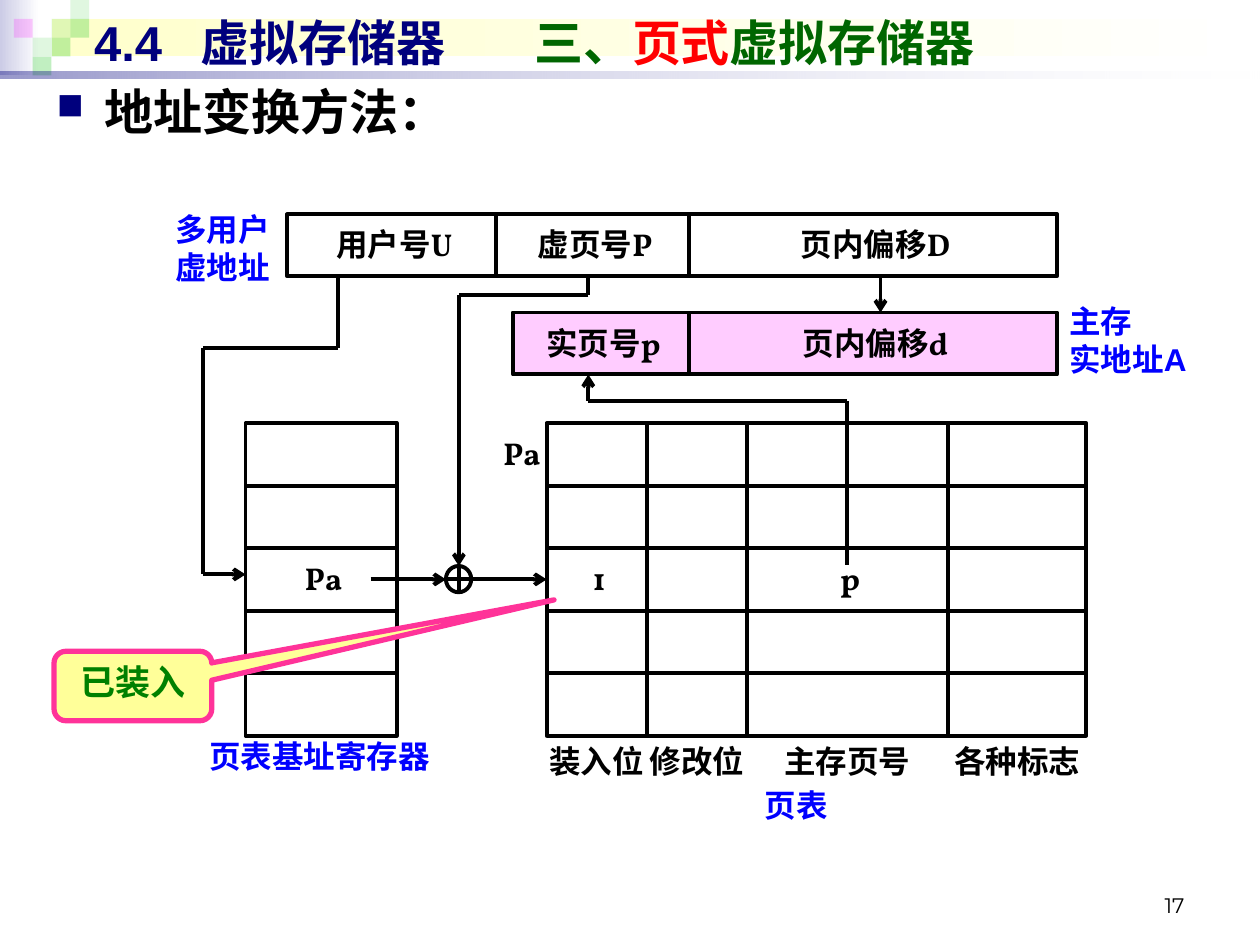
"""Builds the slide on address translation in paged virtual memory."""
from dataclasses import dataclass
from itertools import pairwise

from lxml import etree
from pptx import Presentation
from pptx.dml.color import RGBColor
from pptx.enum.shapes import MSO_CONNECTOR, MSO_SHAPE
from pptx.enum.text import MSO_ANCHOR, PP_ALIGN
from pptx.oxml.ns import qn
from pptx.util import Cm, Pt

RECT, ADDER = MSO_SHAPE.RECTANGLE, MSO_SHAPE.FLOWCHART_OR
CALLOUT = MSO_SHAPE.ROUNDED_RECTANGULAR_CALLOUT
STRAIGHT = MSO_CONNECTOR.STRAIGHT
TOP, MIDDLE, BOTTOM = MSO_ANCHOR.TOP, MSO_ANCHOR.MIDDLE, MSO_ANCHOR.BOTTOM
LEFT, CENTER, RIGHT = PP_ALIGN.LEFT, PP_ALIGN.CENTER, PP_ALIGN.RIGHT

ROW = 1.26
FIELD_HEIGHT = 1.25
TABLE_TOP = 8.53
LABEL_TOP = 14.73
ROWS = 5
ENTRY_ROW = 2
MOSAIC = 0.38
CELL_MARGINS = (0.2, 0.1)
CAPTION_MARGINS = (0, 0)
CAPTION_BLEED = 0.2


@dataclass(frozen=True)
class Theme:
    """Colours, fonts and sizes of the slide."""
    ink: str = "000000"
    navy: str = "00007D"
    green: str = "006600"
    red: str = "FF0000"
    blue: str = "0000FF"
    pink: str = "FFCCFF"
    note_fill: str = "FFFF99"
    note_line: str = "FF3399"
    note_text: str = "008000"
    lilac: str = "CCCCE6"
    cream: str = "FFFFCC"
    white: str = "FFFFFF"
    leaf: str = "33CC33"
    magenta: str = "FF00FF"
    sans: str = "Arial"
    serif: str = "Times New Roman"
    diagram: str = "Vollkorn"
    number: str = "Montserrat"
    heading_size: int = 28
    note_size: int = 20
    label_size: int = 18
    number_size: int = 12
    line: float = 2.25
    note_width: float = 3


THEME = Theme()


def rgb(colour):
    """Turn a hex string into a colour."""
    return RGBColor.from_string(colour)


def add_child(parent, tag, **attributes):
    """Append a drawing element with its attributes."""
    return etree.SubElement(parent, qn(tag), attributes)


def write(shape, paragraphs, font, size, align=LEFT, anchor=TOP, bold=True):
    """Fill a shape with paragraphs, each a list of (text, colour) runs."""
    frame = shape.text_frame
    frame.vertical_anchor = anchor
    for index, runs in enumerate(paragraphs):
        paragraph = frame.add_paragraph() if index else frame.paragraphs[0]
        paragraph.alignment = align
        for text, colour in runs:
            run = paragraph.add_run()
            run.text = text
            run.font.name, run.font.size, run.font.bold = font, Pt(size), bold
            run.font.color.rgb = rgb(colour)
    return frame


def compact(shape, text, colour=THEME.ink, font=THEME.diagram, align=CENTER,
            margins=CELL_MARGINS):
    """Write one tight, unwrapped diagram line."""
    frame = write(shape, [[(text, colour)]], font, THEME.label_size, align, MIDDLE)
    frame.word_wrap = False
    frame.margin_left, frame.margin_right = map(Cm, margins)
    frame.margin_top, frame.margin_bottom = Cm(0.1), Cm(0)
    frame.paragraphs[0].line_spacing = 0.8


def text_box(slide, left, top, width, height):
    """Add an empty wrapping text box."""
    box = slide.shapes.add_textbox(Cm(left), Cm(top), Cm(width), Cm(height))
    box.text_frame.word_wrap = True
    return box


def outline(slide, kind, place, fill=None, line=THEME.ink, weight=THEME.line):
    """Add an outlined preset shape."""
    shape = slide.shapes.add_shape(kind, *map(Cm, place))
    shape.shadow.inherit = False
    if fill:
        shape.fill.solid()
        shape.fill.fore_color.rgb = rgb(fill)
    else:
        shape.fill.background()
    shape.line.color.rgb = rgb(line)
    shape.line.width = Pt(weight)
    return shape


def decoration(slide, place, colours, alphas):
    """Add a borderless block, solid or fading to the right."""
    block = slide.shapes.add_shape(RECT, *map(Cm, place))
    block.shadow.inherit = False
    block.line.fill.background()
    if len(colours) == 1:
        block.fill.solid()
        block.fill.fore_color.rgb = rgb(colours[0])
    else:
        block.fill.gradient()
        block.fill.gradient_angle = 0
        for stop, colour in zip(block.fill.gradient_stops, colours):
            stop.color.rgb = rgb(colour)
    tints = list(block.element.spPr.iter(qn("a:srgbClr")))
    for tint, alpha in zip(tints, alphas):
        add_child(tint, "a:alpha", val=str(alpha * 1000))


def field_row(slide, left, top, fields, fill=None, height=FIELD_HEIGHT):
    """Add adjoining cells given as (text, width)."""
    for text, width in fields:
        cell = outline(slide, RECT, (left, top, width, height), fill)
        if text:
            compact(cell, text)
        left += width


def memory_grid(slide, left, widths, entry):
    """Add a grid of memory cells with one filled row."""
    for row in range(ROWS):
        texts = entry if row == ENTRY_ROW else [""] * len(widths)
        field_row(slide, left, TABLE_TOP + row * ROW, zip(texts, widths), height=ROW)


def route(slide, *points):
    """Join points by straight lines, ending in an arrowhead."""
    for start, end in pairwise(points):
        wire = slide.shapes.add_connector(STRAIGHT, *map(Cm, start + end))
        wire.line.color.rgb = rgb(THEME.ink)
        wire.line.width = Pt(THEME.line)
        if end == points[-1]:
            add_child(wire.line._get_or_add_ln(), "a:tailEnd", type="arrow")
        add_child(wire.element.spPr, "a:effectLst")


def backdrop(slide):
    """Draw the fading bars and the mosaic behind the title."""
    decoration(slide, (0, 0, 0.79, 1.52), (THEME.lilac, THEME.white), ())
    decoration(slide, (1.04, 0.38, 24.26, 0.76), (THEME.cream, THEME.white), ())
    tiles = [(2, 1, 15), (3, 0, 15), (3, 1, 30), (1, 2, 15), (0, 1, 20), (2, 2, 30), (1, 3, 30)]
    for column, row, alpha in tiles:
        colour = THEME.leaf if column else THEME.magenta
        place = (0.28 + column * MOSAIC, row * MOSAIC, MOSAIC, MOSAIC)
        decoration(slide, place, (colour,), (alpha,))
    decoration(slide, (0, 1.45, 25.4, 0.13), (THEME.navy, THEME.white), (40, 10))


def headings(slide):
    """Write the title, the bulleted topic and the page number."""
    title = write(text_box(slide, 1.65, 0.13, 22.86, 1.45),
                  [[("4.4\t虚拟存储器\t", THEME.navy), ("三、", THEME.green),
                    ("页式", THEME.red), ("虚拟存储器", THEME.green)]],
                  THEME.sans, THEME.heading_size, anchor=MIDDLE)
    tabs = add_child(title.paragraphs[0]._p.get_or_add_pPr(), "a:tabLst")
    for position in (2.14, 8.87):
        add_child(tabs, "a:tab", pos=str(Cm(position)), algn="l")

    topic = write(text_box(slide, 0.89, 1.52, 24, 1.6), [[("地址变换方法：", THEME.ink)]],
                  THEME.serif, THEME.heading_size).paragraphs[0]
    topic.space_before = Pt(5.6)
    bullet = topic._p.get_or_add_pPr()
    bullet.set("marL", str(Cm(0.97)))
    bullet.set("indent", str(-Cm(0.97)))
    add_child(add_child(bullet, "a:buClr"), "a:srgbClr", val=THEME.navy)
    add_child(bullet, "a:buSzPct", val="75000")
    add_child(bullet, "a:buChar", char="■")

    write(text_box(slide, 18.21, 17.35, 5.92, 1.27), [[("17", THEME.ink)]],
          THEME.number, THEME.number_size, RIGHT, BOTTOM, False)


def captions(slide, left, columns):
    """Name the columns, the tables and the two addresses."""
    for caption, width in zip(["装入位", "修改位", "主存页号", "各种标志"], columns):
        box = text_box(slide, left - CAPTION_BLEED, LABEL_TOP,
                       width + 2 * CAPTION_BLEED, FIELD_HEIGHT)
        compact(box, caption, margins=CAPTION_MARGINS)
        left += width
    compact(text_box(slide, 9.32, TABLE_TOP, 1.68, FIELD_HEIGHT), "Pa", align=RIGHT)
    for name, place in [("页表基址寄存器", (3.84, LABEL_TOP, 5.2, 1.07)),
                        ("页表", (14.78, 15.72, 2.54, 1.07))]:
        compact(text_box(slide, *place), name, THEME.blue, THEME.sans,
                margins=CAPTION_MARGINS)
    for lines, place, align in [(("多用户", "虚地址"), (2.49, 4.11, 3.2, 1.78), RIGHT),
                                (("主存", "实地址A"), (21.31, 5.97, 3.2, 1.78), LEFT)]:
        write(text_box(slide, *place), [[(line, THEME.blue)] for line in lines],
              THEME.sans, THEME.label_size, align)


def address_diagram(slide):
    """Draw the addresses, the tables and the paths between them."""
    field_row(slide, 5.79, 4.32, [("用户号U", 4.22), ("虚页号P", 3.88), ("页内偏移D", 7.42)])
    field_row(slide, 10.34, 6.3, [("实页号p", 3.55), ("页内偏移d", 7.42)], THEME.pink)
    memory_grid(slide, 4.95, [3.05], ["Pa"])
    columns = [2.02, 2.02, 4.05, 2.79]
    memory_grid(slide, 11.02, columns, ["1", "", "p", ""])
    captions(slide, 11.02, columns)

    outline(slide, ADDER, (8.99, 11.41, 0.51, 0.53))
    route(slide, (6.81, 5.57), (6.81, 7.01), (4.09, 7.01), (4.09, 11.58), (4.95, 11.58))
    route(slide, (11.86, 5.57), (11.86, 5.94), (9.25, 5.94), (9.25, 11.41))
    route(slide, (17.75, 5.57), (17.75, 6.3))
    route(slide, (17.07, 11.38), (17.07, 8.08), (11.86, 8.08), (11.86, 7.55))
    route(slide, (7.47, 11.68), (8.99, 11.68))
    route(slide, (9.5, 11.68), (11.02, 11.68))

    loaded = outline(slide, CALLOUT, (1.09, 13.13, 3.18, 1.4),
                     THEME.note_fill, THEME.note_line, THEME.note_width)
    for index, value in enumerate((2.67, -1.24, 0.17)):
        loaded.adjustments[index] = value
    write(loaded, [[("已装入", THEME.note_text)]], THEME.sans, THEME.note_size, CENTER)


def main():
    """Build and save the slide."""
    deck = Presentation()
    deck.slide_width, deck.slide_height = Cm(25.4), Cm(19.05)
    slide = deck.slides.add_slide(deck.slide_layouts[6])
    backdrop(slide)
    headings(slide)
    address_diagram(slide)
    deck.save("out.pptx")


main()
